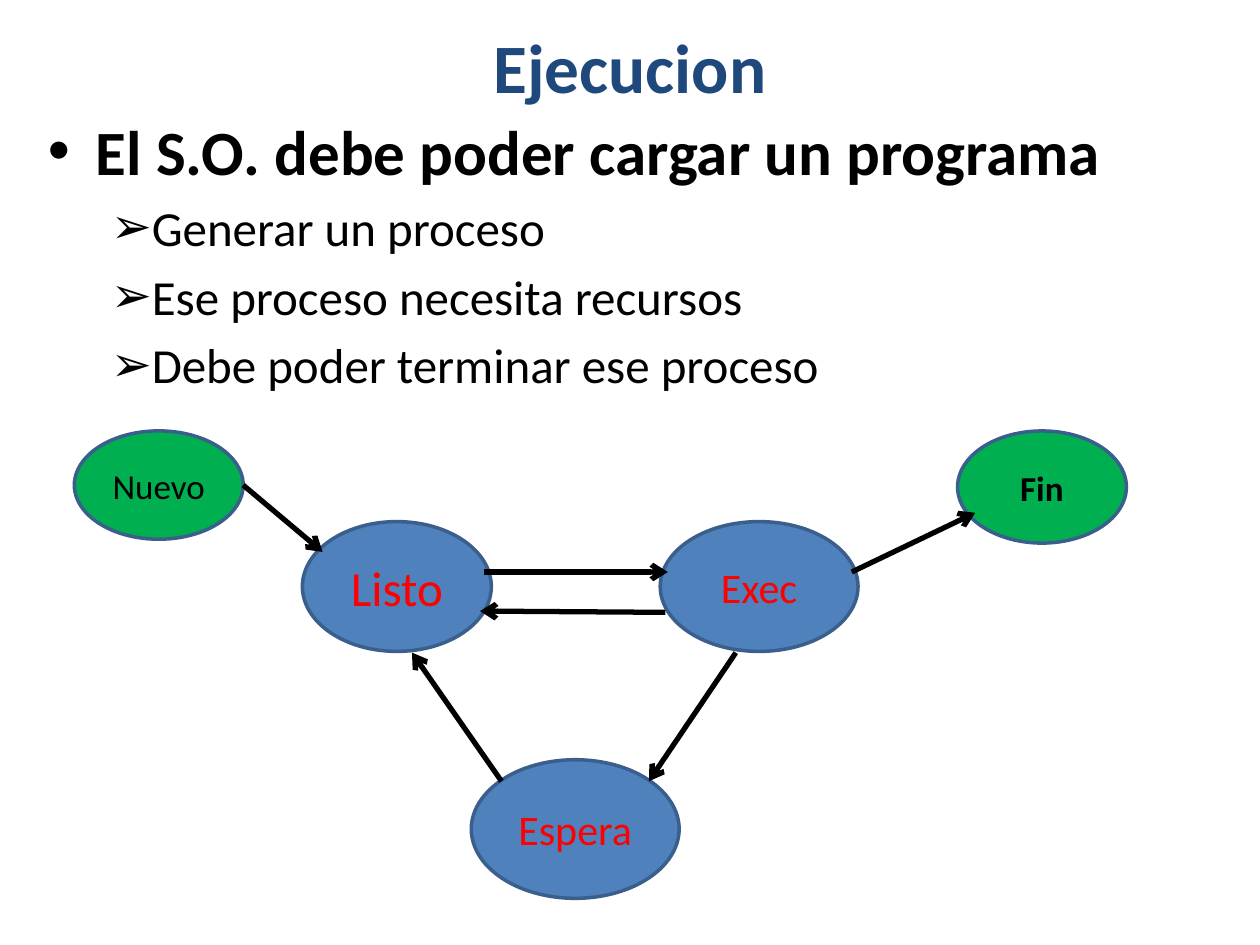
from pptx import Presentation
from pptx.dml.color import RGBColor
from pptx.enum.shapes import MSO_CONNECTOR, MSO_SHAPE
from pptx.enum.text import MSO_ANCHOR, MSO_AUTO_SIZE, PP_ALIGN
from pptx.oxml.ns import qn
from pptx.util import Inches, Pt
from lxml.etree import SubElement

COLORS = {
    "title": "1F497D",
    "text": "000000",
    "endpoint": "00B050",
    "state": "4F81BD",
    "outline": "3A5F8C",
    "state_text": "FF0000",
}


class ProcessSlide:
    font_name = "Calibri"

    def __init__(self, presentation):
        # Title and content layout
        self.slide = presentation.slides.add_slide(presentation.slide_layouts[1])

    def color(self, name):
        return RGBColor.from_string(COLORS[name])

    def place(self, shape, box):
        for side, length in zip(("left", "top", "width", "height"), box):
            setattr(shape, side, Inches(length))

    def add_text(self, paragraph, text, size, color, bold=False):
        run = paragraph.add_run()
        run.text = text
        style = {"name": self.font_name, "size": Pt(size), "bold": bold}
        for attribute, value in style.items():
            setattr(run.font, attribute, value)
        run.font.color.rgb = self.color(color)

    def center(self, frame):
        frame.vertical_anchor = MSO_ANCHOR.MIDDLE
        frame.paragraphs[0].alignment = PP_ALIGN.CENTER

    def title(self, text, box, size):
        heading = self.slide.shapes.title
        self.place(heading, box)
        frame = heading.text_frame
        frame.auto_size = MSO_AUTO_SIZE.NONE
        self.center(frame)
        self.add_text(frame.paragraphs[0], text, size, "title", bold=True)

    def bullet(self, paragraph, symbol, margin, hanging):
        properties = paragraph._p.get_or_add_pPr()
        properties.set("marL", str(Inches(margin)))
        properties.set("indent", str(-Inches(hanging)))
        SubElement(properties, qn("a:buFont")).set("typeface", "Arial")
        SubElement(properties, qn("a:buChar")).set("char", symbol)

    def outline(self, heading, points, box):
        body = self.slide.placeholders[1]
        self.place(body, box)
        frame = body.text_frame
        frame.auto_size = MSO_AUTO_SIZE.NONE
        self.bullet(frame.paragraphs[0], "•", 0.38, 0.38)
        self.add_text(frame.paragraphs[0], heading, 36, "text", bold=True)
        for point in points:
            paragraph = frame.add_paragraph()
            paragraph.level = 1
            self.bullet(paragraph, "➢", 0.81, 0.31)
            self.add_text(paragraph, point, 28, "text")

    def state(self, text, box, fill, size, color, bold=False):
        oval = self.slide.shapes.add_shape(MSO_SHAPE.OVAL, *map(Inches, box))
        oval.shadow.inherit = False
        oval.fill.solid()
        oval.fill.fore_color.rgb = self.color(fill)
        oval.line.color.rgb = self.color("outline")
        oval.line.width = Pt(2)
        self.center(oval.text_frame)
        self.add_text(oval.text_frame.paragraphs[0], text, size, color, bold)

    def transition(self, start, end):
        arrow = self.slide.shapes.add_connector(
            MSO_CONNECTOR.STRAIGHT, *map(Inches, start + end))
        arrow.line.color.rgb = self.color("text")
        arrow.line.width = Pt(3)
        properties = arrow._element.spPr
        SubElement(properties.find(qn("a:ln")), qn("a:tailEnd")).set("type", "arrow")
        SubElement(properties, qn("a:effectLst"))


def main():
    presentation = Presentation()
    presentation.slide_width = Inches(10)
    presentation.slide_height = Inches(7.5)
    page = ProcessSlide(presentation)

    # Title and list
    page.title("Ejecucion", (0.5, 0.13, 9, 0.79), 39.6)
    page.outline(
        "El S.O. debe poder cargar un programa",
        ("Generar un proceso",
         "Ese proceso necesita recursos",
         "Debe poder terminar ese proceso"),
        (0.28, 0.84, 9.45, 6.46))

    # Start and end of the process
    page.state("Nuevo", (0.59, 3.42, 1.34, 0.86), "endpoint", 20, "text")
    page.state("Fin", (7.6, 3.42, 1.34, 0.89), "endpoint", 20, "text", bold=True)

    # Process states
    for name, box, size in (
        ("Exec", (5.24, 4.14, 1.57, 1.03), 24),
        ("Listo", (2.4, 4.14, 1.5, 1.03), 28),
        ("Espera", (3.74, 6.03, 1.65, 1.1), 24),
    ):
        page.state(name, box, "state", size, "state_text")

    # Transitions between states
    for start, end in (
        ((1.93, 3.85), (2.56, 4.38)),  # Nuevo to Listo
        ((6.76, 4.54), (7.74, 4.07)),  # Exec to Fin
        ((3.84, 4.54), (5.3, 4.54)),   # Listo to Exec
        ((5.28, 4.86), (3.81, 4.85)),  # Exec to Listo
        ((5.84, 5.18), (5.15, 6.2)),   # Exec to Espera
        ((3.98, 6.2), (3.27, 5.18)),   # Espera to Listo
    ):
        page.transition(start, end)

    presentation.save("out.pptx")


if __name__ == "__main__":
    main()
